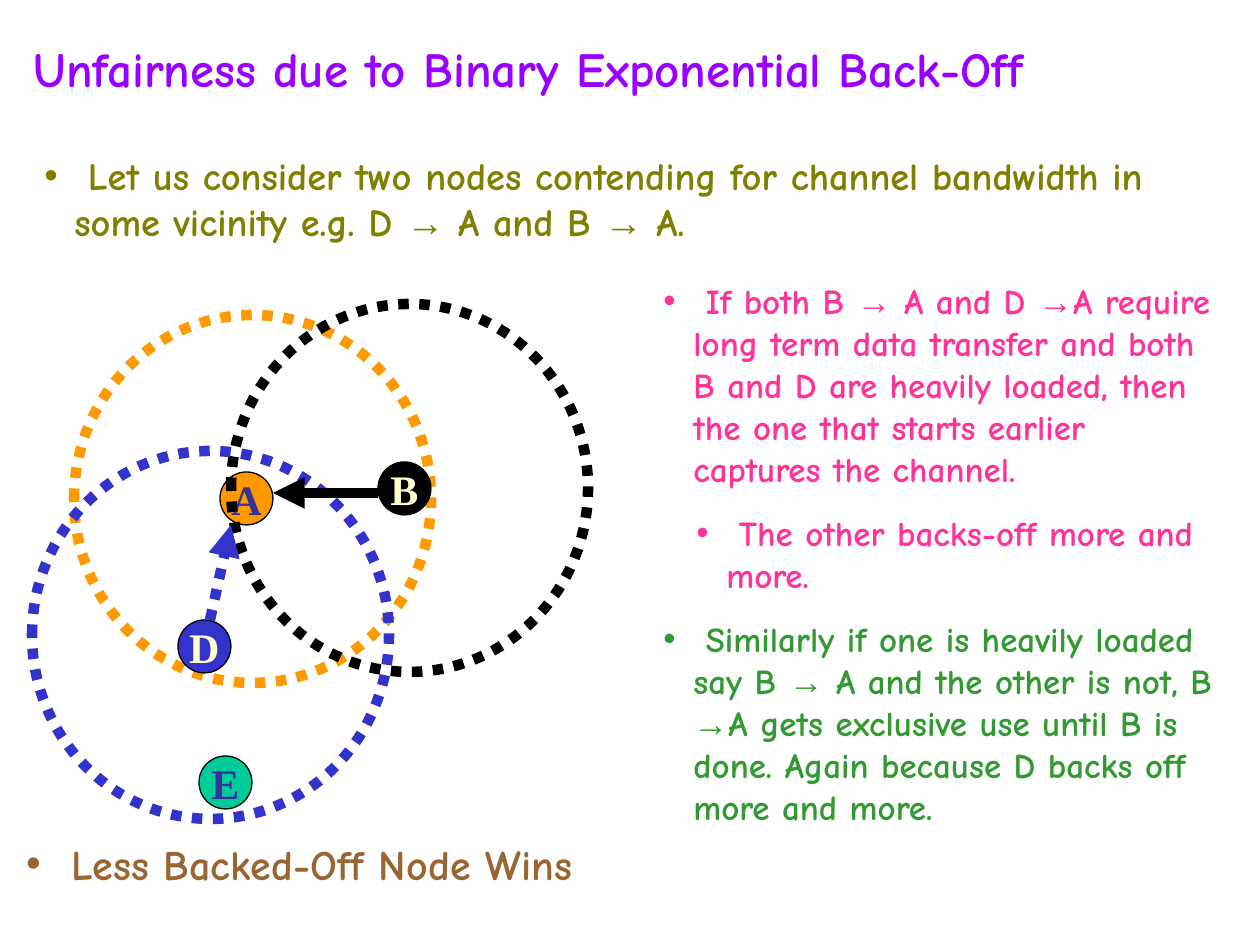
import pptx
import pptx.util
import pptx.dml.color
import pptx.enum.dml
import pptx.enum.shapes
import pptx.enum.text
import pptx.oxml
import pptx.oxml.ns
import lxml.etree

PX = 914400 // 126
RGB = pptx.dml.color.RGBColor
PURPLE = RGB(0x99, 0x00, 0xFF)
OLIVE = RGB(0x80, 0x80, 0x00)
PINK = RGB(0xFF, 0x33, 0x99)
GREEN = RGB(0x33, 0x99, 0x33)
BROWN = RGB(0x99, 0x66, 0x33)
ORANGE = RGB(0xFF, 0x99, 0x00)
BLACK = RGB(0x00, 0x00, 0x00)
BLUE = RGB(0x33, 0x33, 0xCC)
TEAL = RGB(0x00, 0xCC, 0x99)
NAVY = RGB(0x33, 0x33, 0x99)
CREAM = RGB(0xFF, 0xFF, 0xCC)

DOTTED = pptx.enum.dml.MSO_LINE.ROUND_DOT
CENTER = pptx.enum.text.PP_ALIGN.CENTER
LEFT = pptx.enum.text.PP_ALIGN.LEFT
OVAL = pptx.enum.shapes.MSO_SHAPE.OVAL
HANG = 30


def add_span(para, text, font, size, color):
    span = para.add_run()
    span.text = text
    span.font.name = font
    span.font.size = pptx.util.Pt(size)
    span.font.bold = True
    span.font.color.rgb = color


def add_text_box(page, place, size, paragraphs, align=LEFT):
    """Each paragraph is (text, color, indent in px); indent 0 means no bullet."""
    box = page.shapes.add_textbox(*[n * PX for n in place])
    box.text_frame.word_wrap = True
    for number, (text, color, indent) in enumerate(paragraphs):
        para = box.text_frame.paragraphs[0] if number == 0 else box.text_frame.add_paragraph()
        para.alignment = align
        if indent:
            para.space_before = pptx.util.Pt(size * 0.625)
            para.level = 1 if indent > HANG else 0
            props = para._p.get_or_add_pPr()
            props.set("marL", str(indent * PX))
            props.set("indent", str(-HANG * PX))
            bullet_font = lxml.etree.SubElement(props, pptx.oxml.ns.qn("a:buFont"))
            bullet_font.set("typeface", "Arial")
            bullet = lxml.etree.SubElement(props, pptx.oxml.ns.qn("a:buChar"))
            bullet.set("char", "•")
        for position, part in enumerate(text.split("→")):
            if position:
                add_span(para, "→", "Arial", size, color)
            add_span(para, part, "Comic Neue", size, color)


deck = pptx.Presentation()
deck.slide_width = 1260 * PX
deck.slide_height = 945 * PX
page = deck.slides.add_slide(deck.slide_layouts[6])

add_text_box(page, (21, 32, 1176, 72), 28,
             [("Unfairness due to Binary Exponential Back-Off", PURPLE, 0)])
add_text_box(page, (32, 146, 1176, 106), 22, [
    (" Let us consider two nodes contending for channel bandwidth in some vicinity "
     "e.g. D → A and B → A.", OLIVE, HANG)])

# Nodes (left, top, fill, letter color) and ranges (left, top, color), back to front
NODE = 53
RANGE_WIDTH, RANGE_HEIGHT = 357, 368
drawing = [
    ("A", 220, 472, ORANGE, NAVY),
    ("", 74, 315, ORANGE, None),
    ("B", 378, 462, BLACK, CREAM),
    ("", 231, 304, BLACK, None),
    ("D", 178, 620, BLUE, CREAM),
    ("E", 199, 756, TEAL, NAVY),
    ("", 32, 451, BLUE, None),
]
for letter, left, top, color, letter_color in drawing:
    width, height = (NODE, NODE) if letter else (RANGE_WIDTH, RANGE_HEIGHT)
    circle = page.shapes.add_shape(OVAL, left * PX, top * PX, width * PX, height * PX)
    circle.shadow.inherit = False
    if letter:
        circle.fill.solid()
        circle.fill.fore_color.rgb = color
        circle.line.color.rgb = BLACK
        circle.line.width = pptx.util.Pt(0.75)
        circle.text_frame.word_wrap = False
        circle.text_frame.vertical_anchor = pptx.enum.text.MSO_ANCHOR.MIDDLE
        para = circle.text_frame.paragraphs[0]
        para.alignment = CENTER
        add_span(para, letter, "Times New Roman", 24, letter_color)
    else:
        circle.fill.background()
        circle.line.color.rgb = color
        circle.line.width = pptx.util.Pt(6)
        circle.line.dash_style = DOTTED

# Transmissions B to A and D to A
for start_x, start_y, end_x, end_y, color, dash in [
    (378, 493, 273, 493, BLACK, None),
    (210, 620, 231, 525, BLUE, DOTTED),
]:
    arrow = page.shapes.add_connector(
        pptx.enum.shapes.MSO_CONNECTOR.STRAIGHT,
        start_x * PX, start_y * PX, end_x * PX, end_y * PX)
    arrow.line.color.rgb = color
    arrow.line.width = pptx.util.Pt(6)
    if dash:
        arrow.line.dash_style = dash
    head = lxml.etree.SubElement(arrow.line._get_or_add_ln(), pptx.oxml.ns.qn("a:tailEnd"))
    head.set("type", "triangle")
    lxml.etree.SubElement(arrow._element.spPr, pptx.oxml.ns.qn("a:effectLst"))

add_text_box(page, (651, 273, 577, 561), 20, [
    (" If both B → A and D →A require long term data transfer and both B and D are "
     "heavily loaded, then the one that starts earlier captures the channel.", PINK, HANG),
    (" The other backs-off more and more.", PINK, 63),
    (" Similarly if one is heavily loaded say B → A and the other is not, B →A gets "
     "exclusive use until B is done. Again because D backs off more and more.", GREEN, HANG),
])
add_text_box(page, (0, 832, 598, 63), 24,
             [(" Less Backed-Off Node Wins", BROWN, HANG)], CENTER)

deck.save("out.pptx")
